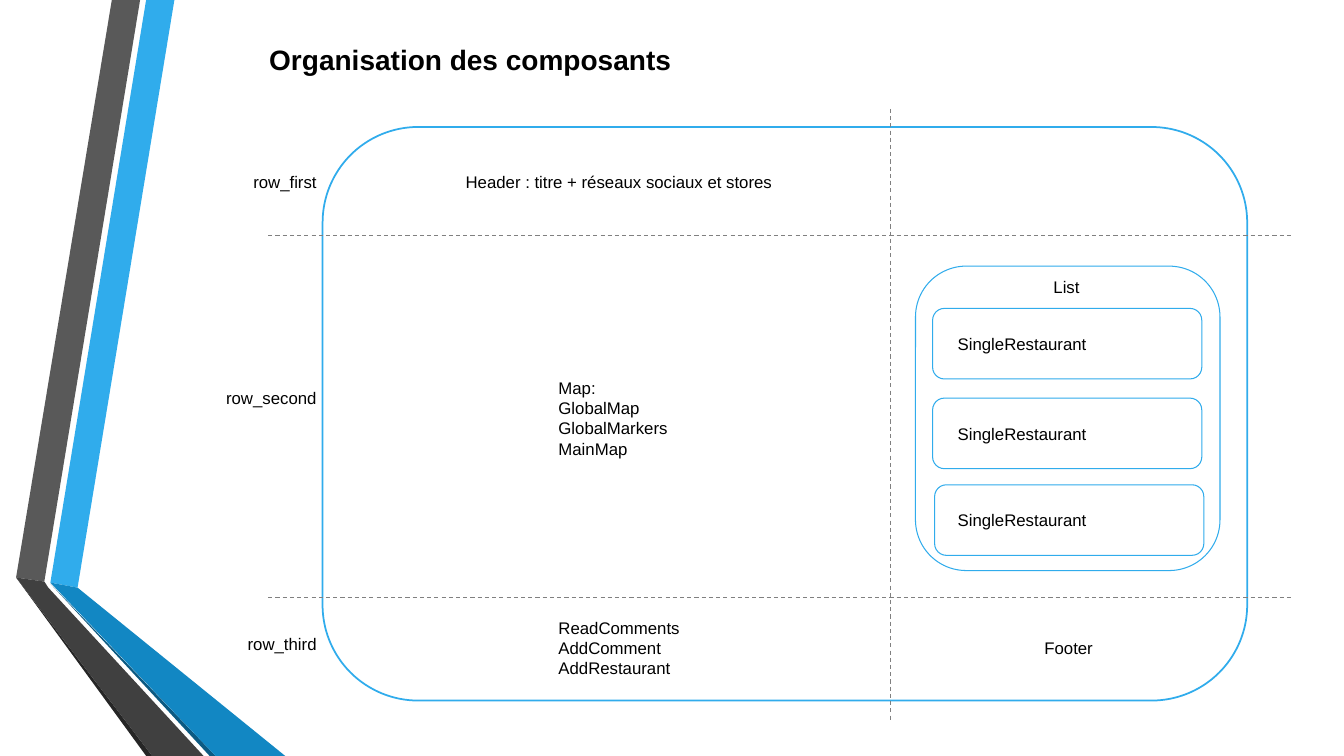
from dataclasses import dataclass
from lxml.etree import SubElement as Sub
from pptx import Presentation
from pptx.dml.color import RGBColor as Rgb
from pptx.enum.dml import MSO_LINE as Dash
from pptx.enum.shapes import MSO_CONNECTOR as Conn, MSO_SHAPE as Kind
from pptx.enum.text import MSO_ANCHOR as Anchor, MSO_AUTO_SIZE as Auto, PP_ALIGN as Align
from pptx.oxml.ns import qn
from pptx.util import Inches, Pt


@dataclass(frozen=True)
class Theme:
    font: str = "Arial"
    head: int = 20
    body: int = 12
    ink: str = "000000"
    blue: str = "30ACEC"
    gray: str = "808080"
    white: str = "FFFFFF"
    thin: float = 0.75
    thick: float = 1.25


T = Theme()
TITLE = "Organisation des composants"
RIBBONS = [
    ("30ACEC", [(0.5, 5.78), (0.77, 5.83), (1.73, 0), (1.45, 0)]),
    ("595959", [(1.39, 0), (1.11, 0), (0.16, 5.73), (0.44, 5.77)]),
    ("262626", [(0.16, 5.73), (1.45, 7.5), (1.51, 7.5)]),
    ("0C5A82", [(0.5, 5.79), (2.08, 7.5), (2.14, 7.5)]),
    ("1287C3", [(0.5, 5.78), (2.14, 7.5), (2.83, 7.5), (0.77, 5.83)]),
    ("404040", [(2.02, 7.5), (0.48, 5.83), (0.44, 5.77), (0.16, 5.73), (1.51, 7.5)]),
]
FRAME = (3.2, 1.26, 9.17, 5.69)
LIST = (9.08, 2.64, 3.02, 3.02)
GUIDES = [
    (2.66, 2.34, 12.82, 2.34),
    (2.66, 5.93, 12.82, 5.93),
    (8.83, 1.08, 8.83, 7.15),
]
ROWS = [("row_first", 1.65, 0.84), ("row_second", 3.8, 1.1), ("row_third", 6.24, 0.89)]
EDGE = 3.24
LABELS = [
    (["Header : titre + réseaux sociaux et stores"], 4.52, 1.65, 3.27),
    (["Map:", "GlobalMap", "GlobalMarkers", "MainMap"], 5.44, 3.7, 1.35),
    (["List"], 10.35, 2.7, 0.46),
    (["Footer"], 10.26, 6.28, 0.69),
    (["ReadComments", "AddComment", "AddRestaurant"], 5.44, 6.08, 1.41),
]
CARD = "SingleRestaurant"
CARDS = [(9.25, 3.06), (9.25, 3.95), (9.27, 4.81)]


def write(shape, lines, size=T.body, bold=False, align=Align.LEFT, wrap=False):
    """Fill a shape with formatted lines."""
    frame = shape.text_frame
    frame.text = "\n".join(lines)
    frame.word_wrap = wrap
    frame.auto_size = Auto.SHAPE_TO_FIT_TEXT
    frame.vertical_anchor = Anchor.TOP
    for para in frame.paragraphs:
        para.alignment = align
        font = para.runs[0].font
        font.name, font.size, font.bold = T.font, Pt(size), bold
        font.color.rgb = Rgb.from_string(T.ink)


def label(slide, lines, left, top, width, **form):
    """Add a text box as tall as its lines."""
    high = 0.1 + 0.2 * len(lines)
    write(slide.shapes.add_textbox(*map(Inches, (left, top, width, high))), lines, **form)


def box(slide, area, weight=T.thin, fill=None):
    """Add a rounded outline."""
    shape = slide.shapes.add_shape(Kind.ROUNDED_RECTANGLE, *map(Inches, area))
    shape.shadow.inherit = False
    if fill:
        shape.fill.solid()
        shape.fill.fore_color.rgb = Rgb.from_string(fill)
    else:
        shape.fill.background()
    shape.line.color.rgb = Rgb.from_string(T.blue)
    shape.line.width = Pt(weight)


def guide(slide, ends):
    """Add a dashed line."""
    line = slide.shapes.add_connector(Conn.STRAIGHT, *map(Inches, ends))
    line.line.color.rgb = Rgb.from_string(T.gray)
    line.line.width = Pt(T.thin)
    line.line.dash_style = Dash.DASH
    Sub(line._element.spPr, qn("a:effectLst"))


def ribbon(slide, color, points):
    """Add a filled polygon."""
    first, *rest = [(Inches(x), Inches(y)) for x, y in points]
    pen = slide.shapes.build_freeform(*first)
    pen.add_line_segments(rest, close=True)
    shape = pen.convert_to_shape()
    shape.shadow.inherit = False
    shape.fill.solid()
    shape.fill.fore_color.rgb = Rgb.from_string(color)
    shape.line.fill.background()


def main():
    """Build and save the slide."""
    deck = Presentation()
    deck.slide_width, deck.slide_height = Inches(13.33), Inches(7.5)
    slide = deck.slides.add_slide(deck.slide_layouts[5])
    for color, points in RIBBONS:
        ribbon(slide, color, points)
    title = slide.shapes.title
    title.left, title.top, title.width, title.height = map(Inches, (2.57, 0.37, 10.36, 0.44))
    write(title, [TITLE], size=T.head, bold=True, align=Align.JUSTIFY, wrap=True)
    box(slide, FRAME, weight=T.thick, fill=T.white)
    for ends in GUIDES:
        guide(slide, ends)
    for name, top, width in ROWS:
        label(slide, [name], EDGE - width, top, width, align=Align.RIGHT)
    box(slide, LIST)
    for left, top in CARDS:
        box(slide, (left, top, 2.67, 0.7))
        label(slide, [CARD], 9.4, top + 0.2, 1.53)
    for lines, left, top, width in LABELS:
        label(slide, lines, left, top, width)
    deck.save("out.pptx")


if __name__ == "__main__":
    main()
